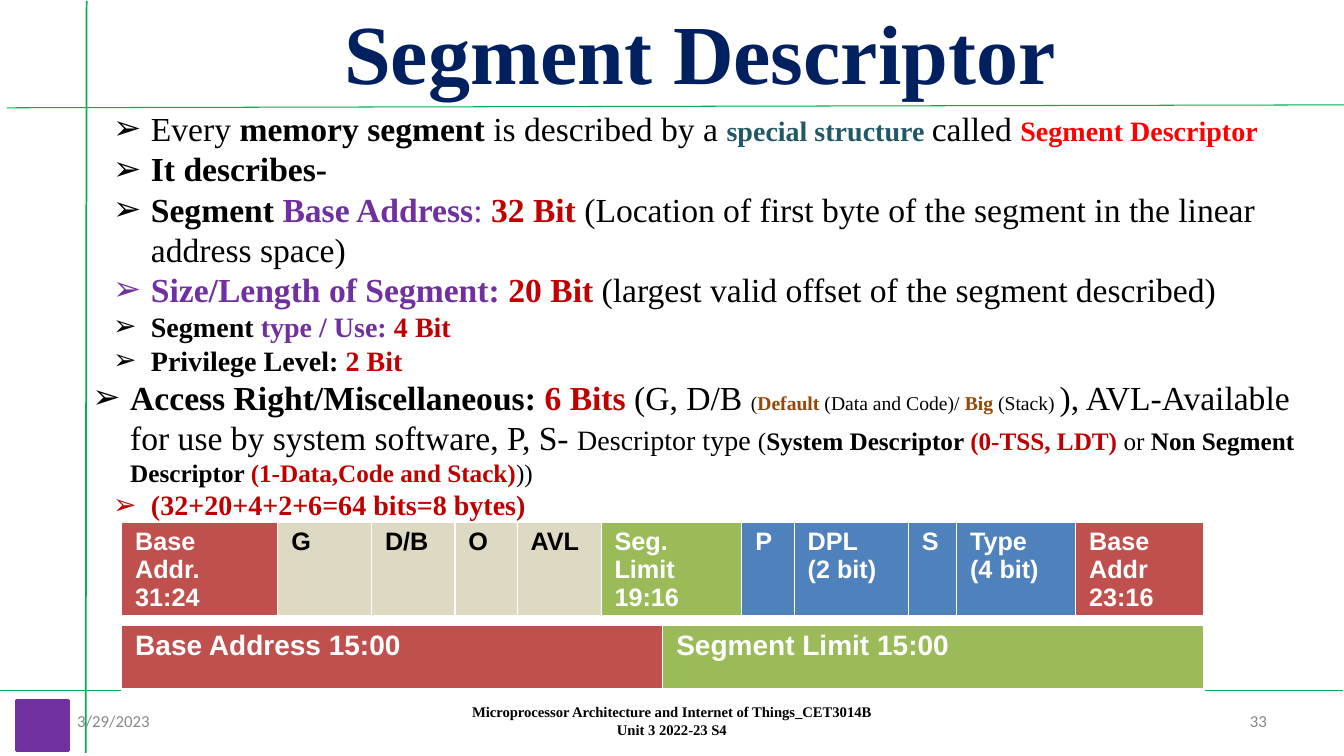
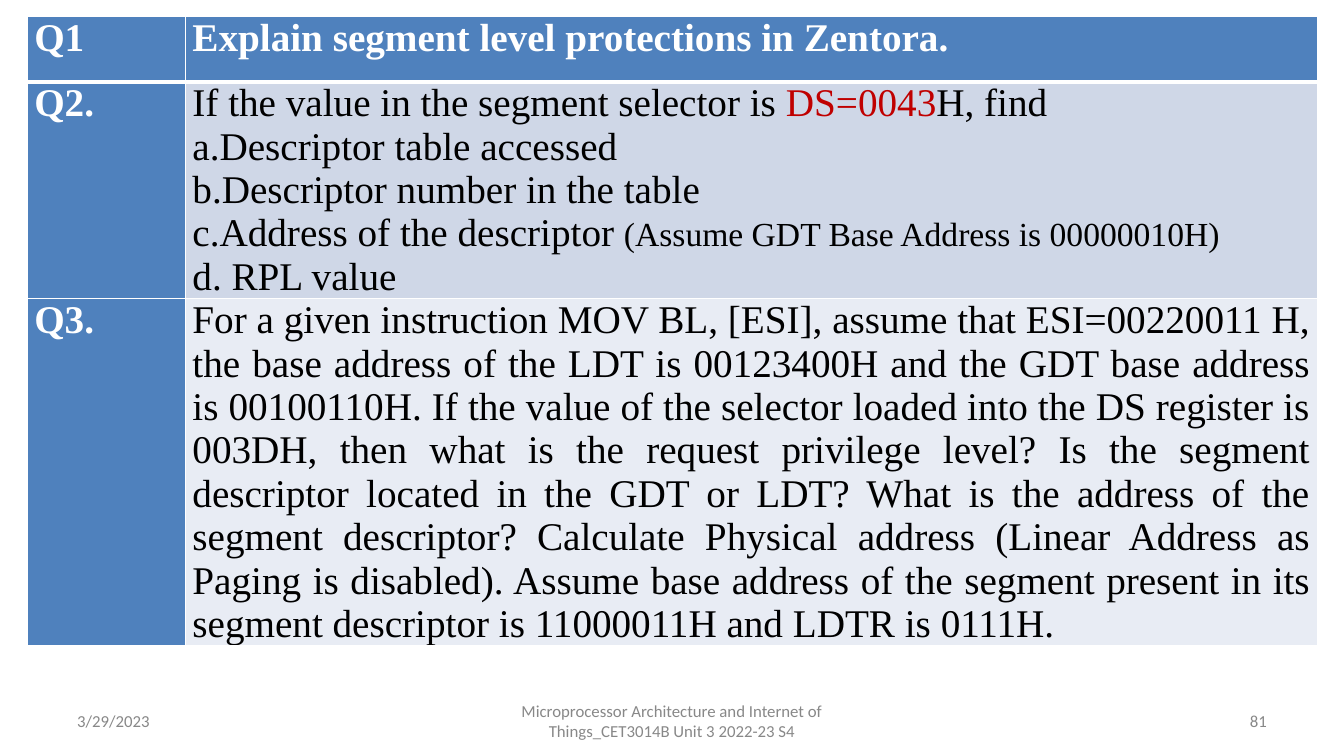
from dataclasses import dataclass
from typing import Optional

from lxml.etree import SubElement
from pptx import Presentation
from pptx.dml.color import RGBColor
from pptx.enum.shapes import MSO_CONNECTOR as Connector, MSO_SHAPE as Preset
from pptx.enum.text import MSO_ANCHOR as Anchor, MSO_AUTO_SIZE as AutoSize, PP_ALIGN as Align
from pptx.oxml.ns import qn
from pptx.util import Pt

COLORS = {
    "black": "000000", "white": "FFFFFF", "navy": "002060", "teal": "205867",
    "bright_red": "FF0000", "red": "C00000", "purple": "7030A0", "brown": "974806",
    "green": "00B050", "gray": "888888", "base": "C0504D", "limit": "9BBB59",
    "flag": "DDD9C3", "access": "4F81BD", "band_dark": "CFD7E7", "band_light": "E8ECF4",
}
SERIF, SANS, FOOTER_FONT = "Times New Roman", "Arial", "Calibri"
DATE = "3/29/2023"
COURSE = "Microprocessor Architecture and Internet of Things_CET3014B Unit 3 2022-23 S4"
FOOTER_TOP, FOOTER_HEIGHT = 500.4, 28.8


@dataclass(frozen=True)
class Run:
    text: str
    color: str = "black"
    bold: bool = False
    size: float = 24


@dataclass(frozen=True)
class Line:
    runs: tuple[Run, ...]
    align: Optional[Align] = None
    bullet: str = ""  # colour of the arrow bullet
    left: float = 41.8
    lettered: bool = False


@dataclass(frozen=True)
class Cell:
    lines: tuple[Line, ...]
    fill: str


@dataclass(frozen=True)
class Rule:
    start: tuple[float, float]
    end: tuple[float, float]
    width: float


def rgb(name: str) -> RGBColor:
    return RGBColor.from_string(COLORS[name])


def add_text(paragraph, text: str, *, size: float, color: str = "black",
             bold: bool = False, font: str = SERIF) -> None:
    run = paragraph.add_run()
    run.text = text
    run.font.size, run.font.bold, run.font.name = Pt(size), bold, font
    run.font.color.rgb = rgb(color)


def mark_paragraph(paragraph, line: Line) -> None:
    """Give a paragraph its arrow bullet or its letter."""
    properties = paragraph._p.get_or_add_pPr()
    left, indent = (0, -13.5) if line.lettered else (line.left, -27)
    properties.set("marL", str(Pt(left)))
    properties.set("indent", str(Pt(indent)))
    color = SubElement(properties, qn("a:buClr"))
    SubElement(color, qn("a:srgbClr")).set("val", COLORS[line.bullet or "black"])
    if line.lettered:
        SubElement(properties, qn("a:buAutoNum")).set("type", "alphaLcPeriod")
    else:
        SubElement(properties, qn("a:buFont")).set("typeface", SANS)
        SubElement(properties, qn("a:buChar")).set("char", "➢")


def fill_frame(frame, lines: tuple[Line, ...], *, font: str = SERIF) -> None:
    for index, line in enumerate(lines):
        paragraph = frame.add_paragraph() if index else frame.paragraphs[0]
        paragraph.line_spacing, paragraph.space_before = 1.0, Pt(0)
        if line.align is not None:
            paragraph.alignment = line.align
        if line.bullet or line.lettered:
            mark_paragraph(paragraph, line)
        for run in line.runs:
            add_text(paragraph, run.text, size=run.size, color=run.color,
                     bold=run.bold, font=font)


def place(shape, left: float, top: float, width: float, height: float) -> None:
    shape.left, shape.top, shape.width, shape.height = map(Pt, (left, top, width, height))


def add_footer(slide, number: int, *, course_size: float = 12, course_color: str = "gray",
               course_bold: bool = False, course_font: str = FOOTER_FONT) -> None:
    course = Run(COURSE, course_color, course_bold, course_size)
    parts = (
        (48, 224, Align.LEFT, Run(DATE, "gray", size=12), FOOTER_FONT),
        (328, 304, Align.CENTER, course, course_font),
        (688, 224, Align.RIGHT, Run(str(number), "gray", size=12), FOOTER_FONT),
    )
    for left, width, align, run, font in parts:
        box = slide.shapes.add_textbox(Pt(left), Pt(FOOTER_TOP), Pt(width), Pt(FOOTER_HEIGHT))
        frame = box.text_frame
        frame.word_wrap, frame.vertical_anchor = True, Anchor.MIDDLE
        fill_frame(frame, (Line((run,), align),), font=font)


def add_rule(slide, rule: Rule) -> None:
    connector = slide.shapes.add_connector(
        Connector.STRAIGHT, *map(Pt, rule.start), *map(Pt, rule.end))
    connector.line.color.rgb, connector.line.width = rgb("green"), Pt(rule.width)
    SubElement(connector._element.spPr, qn("a:effectLst"))


def border_cell(cell, row: int) -> None:
    """White borders, heavier below the first row."""
    widths = {"L": 1, "R": 1, "T": 3 if row == 1 else 1, "B": 3 if row == 0 else 1}
    for side, width in widths.items():
        edge = SubElement(cell._tc.get_or_add_tcPr(), qn(f"a:ln{side}"), w=str(Pt(width)))
        fill = SubElement(edge, qn("a:solidFill"))
        SubElement(fill, qn("a:srgbClr")).set("val", COLORS["white"])


def add_grid(slide, rows: list[list[Cell]], *, left: float, top: float, widths: list[float],
             heights: list[float], margins: tuple[float, float], font: str) -> None:
    table = slide.shapes.add_table(len(rows), len(widths), Pt(left), Pt(top),
                                   Pt(sum(widths)), Pt(sum(heights))).table
    for column, width in zip(table.columns, widths):
        column.width = Pt(width)
    for r, (row, height) in enumerate(zip(rows, heights)):
        table.rows[r].height = Pt(height)
        for c, content in enumerate(row):
            cell = table.cell(r, c)
            cell.margin_left = cell.margin_right = Pt(margins[0])
            cell.margin_top = cell.margin_bottom = Pt(margins[1])
            border_cell(cell, r)
            cell.fill.solid()
            cell.fill.fore_color.rgb = rgb(content.fill)
            fill_frame(cell.text_frame, content.lines, font=font)


def label_cell(text: str, fill: str, size: float) -> Cell:
    color = "black" if fill == "flag" else "white"
    return Cell(tuple(Line((Run(part, color, True, size),)) for part in text.split("\n")), fill)


DESCRIPTION = (
    Line((Run("Every "), Run("memory segment ", bold=True), Run("is described by a "),
          Run("special structure ", "teal", True, 20), Run("called "),
          Run("Segment Descriptor", "bright_red", True, 20)), bullet="black"),
    Line((Run("It describes-", bold=True),), bullet="black"),
    Line((Run("Segment ", bold=True), Run("Base Address", "purple", True), Run(": ", "purple"),
          Run("32 Bit ", "red", True),
          Run("(Location of first byte of the segment in the linear address space)")),
         bullet="black"),
    Line((Run("Size/Length of Segment: ", "purple", True), Run("20 Bit ", "red", True),
          Run("(largest valid offset of the segment described)")), bullet="purple"),
    Line((Run("Segment ", bold=True, size=20), Run("type / Use: ", "purple", True, 20),
          Run("4 Bit", "red", True, 20)), bullet="black"),
    Line((Run("Privilege Level: ", bold=True, size=20), Run("2 Bit", "red", True, 20)),
         bullet="black"),
    Line((Run("Access Right/Miscellaneous: ", bold=True), Run("6 Bits ", "red", True),
          Run("(G, D/B "), Run("(", size=14), Run("Default", "brown", True, 14),
          Run(" (Data and Code)/ ", size=14), Run("Big ", "brown", True, 14),
          Run("(Stack) ", size=14),
          Run("), AVL-Available for use by system software, P, S- "),
          Run("Descriptor type ", size=20), Run("(", size=18),
          Run("System Descriptor ", bold=True, size=18), Run("(0-TSS, LDT) ", "red", True, 18),
          Run("or ", size=18), Run("Non Segment Descriptor ", bold=True, size=18),
          Run("(1-Data,Code and Stack)", "red", True, 18), Run("))", size=18)),
         bullet="black", left=27),
    Line((Run("(32+20+4+2+6=64 bits=8 bytes)", "red", True, 20),), bullet="red"),
)
UPPER_FIELDS = (
    ("Base\nAddr. 31:24", "base", 111.5), ("G", "flag", 67), ("D/B", "flag", 59.5),
    ("O", "flag", 44.5), ("AVL", "flag", 60), ("Seg. Limit 19:16", "limit", 100.5),
    ("P", "access", 37.5), ("DPL\n(2 bit)", "access", 81.5), ("S", "access", 34.5),
    ("Type\n(4 bit)", "access", 85), ("Base\nAddr\n23:16", "base", 91.5),
)
LOWER_FIELDS = (("Base Address 15:00", "base", 386.5), ("Segment Limit 15:00", "limit", 386.5))
RULES = (
    Rule((5, 77), (964.8, 74.9), 0.75),
    Rule((61.9, 0.7), (61.2, 537.8), 1.25),
    Rule((-0.7, 493.2), (959, 493.2), 1.25),
)
SELECTOR_QUESTION = (
    Line((Run("If the value in the segment selector is ", size=28),
          Run("DS=0043", "red", size=28), Run("H, find", size=28)), Align.JUSTIFY),
    Line((Run("Descriptor table accessed", size=28),), Align.JUSTIFY, lettered=True),
    Line((Run("Descriptor number in the table", size=28),), Align.JUSTIFY, lettered=True),
    Line((Run("Address of the descriptor ", size=28),
          Run("(Assume GDT Base Address is 00000010H)")), Align.JUSTIFY, lettered=True),
    Line((Run("d. RPL value", size=28),), Align.JUSTIFY),
)
ADDRESS_QUESTION = (
    "For a given instruction MOV BL, [ESI], assume that ESI=00220011 H, the base address of the "
    "LDT is 00123400H and the GDT base address is 00100110H. If the value of the selector loaded "
    "into the DS register is 003DH, then what is the request privilege level? Is the segment "
    "descriptor located in the GDT or LDT? What is the address of the segment descriptor? "
    "Calculate Physical address (Linear Address as Paging is disabled). Assume base address of "
    "the segment present in its segment descriptor is 11000011H and LDTR is 0111H."
)


def add_descriptor_slide(deck) -> None:
    slide = deck.slides.add_slide(deck.slide_layouts[1])
    title, description = slide.shapes.title, slide.placeholders[1]
    place(title, 125, 11, 750, 50)
    title.text_frame.vertical_anchor = Anchor.MIDDLE
    title.text_frame.auto_size = AutoSize.NONE
    heading = Run("Segment Descriptor", "navy", True, 60)
    fill_frame(title.text_frame, (Line((heading,), Align.CENTER),))

    place(description, 66, 73.5, 889, 291)
    description.text_frame.auto_size = AutoSize.NONE
    description.text_frame.margin_left = Pt(0)
    fill_frame(description.text_frame, DESCRIPTION)

    for rule in RULES:
        add_rule(slide, rule)
    corner = slide.shapes.add_shape(Preset.RECTANGLE, Pt(11.5), Pt(500.4), Pt(37.5), Pt(36))
    corner.shadow.inherit = False
    corner.fill.solid()
    corner.fill.fore_color.rgb = corner.line.color.rgb = rgb("purple")
    corner.line.width = Pt(2)
    for fields, top, height, size in ((LOWER_FIELDS, 446.5, 46.5, 20),
                                      (UPPER_FIELDS, 373, 67, 18)):
        add_grid(slide, [[label_cell(text, fill, size) for text, fill, _ in fields]],
                 left=87, top=top, widths=[width for _, _, width in fields],
                 heights=[height], margins=(9.6, 3.6), font=SANS)
    add_footer(slide, 33, course_size=10.5, course_color="black", course_bold=True,
               course_font=SERIF)


def add_question_slide(deck) -> None:
    slide = deck.slides.add_slide(deck.slide_layouts[6])
    protection = Run("Explain segment level protections in Zentora.", "white", True, 28)
    questions = (
        ("Q1", Cell((Line((protection,), Align.JUSTIFY),), "access")),
        ("Q2.", Cell(SELECTOR_QUESTION, "band_dark")),
        ("Q3.", Cell((Line((Run(ADDRESS_QUESTION, size=28),), Align.JUSTIFY),), "band_light")),
    )
    add_grid(slide, [[label_cell(label, "access", 28), question] for label, question in questions],
             left=19.3, top=12, widths=[113, 808.7], heights=[46.5, 154.5, 247],
             margins=(5.2, 0), font=SERIF)
    add_footer(slide, 81)


def main() -> None:
    deck = Presentation()
    deck.slide_width, deck.slide_height = Pt(960), Pt(540)
    add_descriptor_slide(deck)
    add_question_slide(deck)
    deck.save("out.pptx")


if __name__ == "__main__":
    main()
